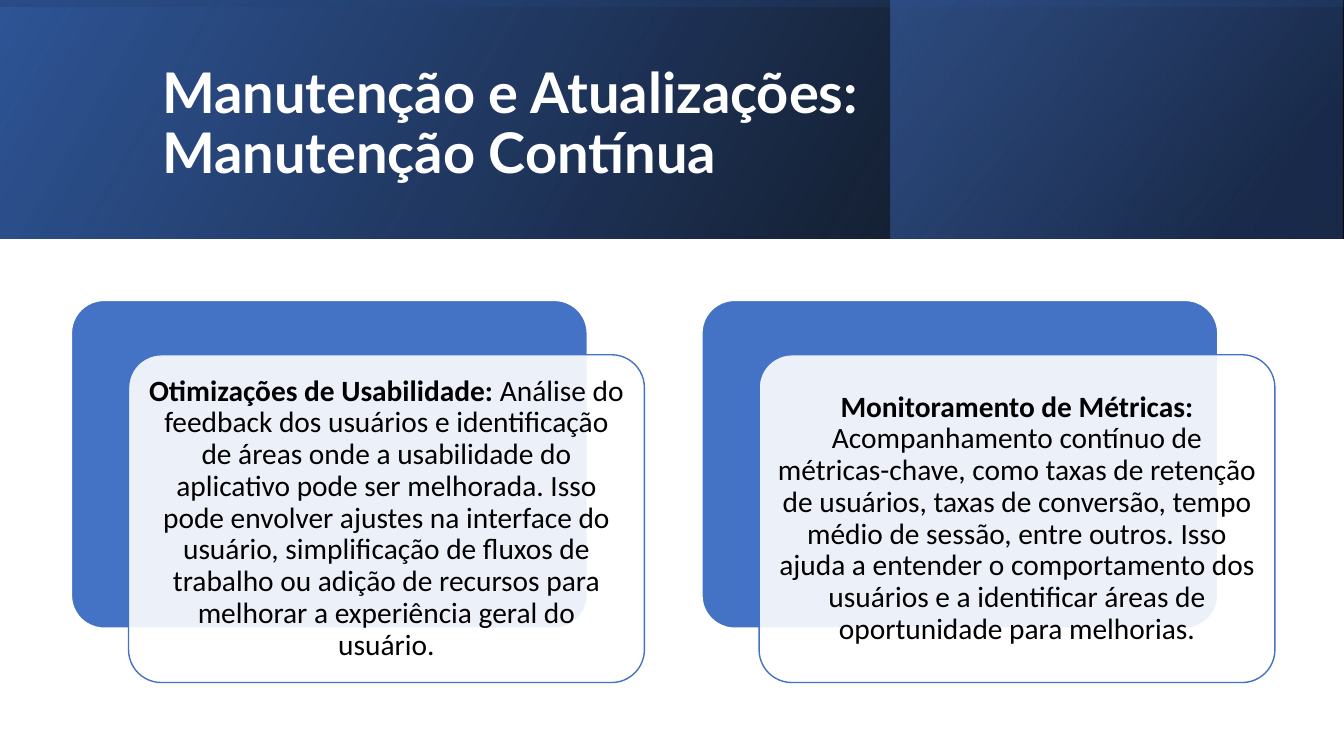
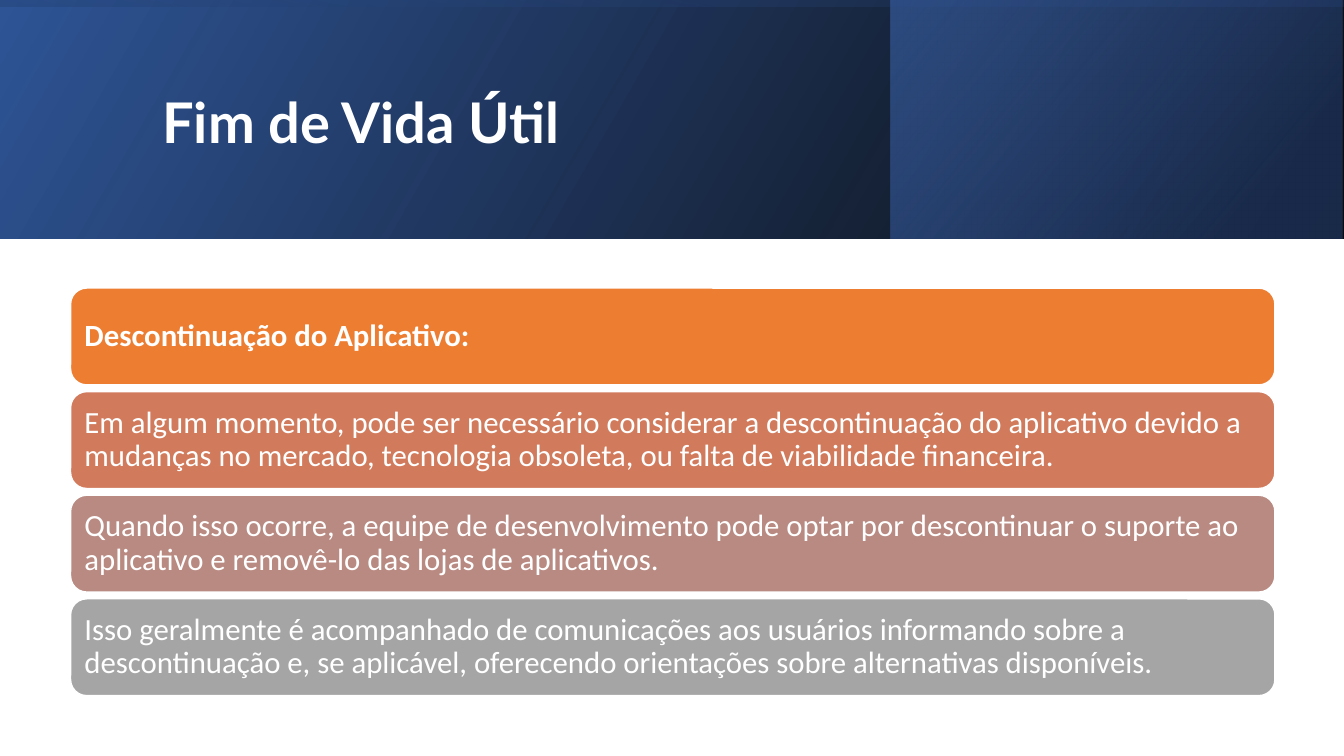
"""Build two slides on app maintenance and end of life."""
from pptx import Presentation
from pptx.dml.color import RGBColor
from pptx.enum.shapes import MSO_SHAPE
from pptx.enum.text import MSO_ANCHOR, PP_ALIGN
from pptx.oxml.ns import qn
from pptx.util import Cm, Pt
from lxml.etree import SubElement

WHITE = RGBColor(0xFF, 0xFF, 0xFF)
BLACK = RGBColor(0x00, 0x00, 0x00)
BLUE = RGBColor(0x44, 0x72, 0xC4)
MID_BLUE = RGBColor(0x2F, 0x55, 0x97)
NAVY = RGBColor(0x20, 0x38, 0x64)
ORANGE = RGBColor(0xED, 0x7D, 0x31)
TERRACOTTA = RGBColor(0xD1, 0x7B, 0x5C)
ROSE = RGBColor(0xB9, 0x8A, 0x82)
GRAY = RGBColor(0xA5, 0xA5, 0xA5)

TITLE_FONT, BODY_FONT = "Lato", "Calibri"
SLIDE_WIDTH, SLIDE_HEIGHT, BAND_HEIGHT = 33.87, 19.05, 6.02
TURNED_LEFT = (SLIDE_WIDTH - BAND_HEIGHT) / 2

# place, rotation, gradient angle, stops as (position, colour, opacity)
BANDS = [
    ((0, 0, SLIDE_WIDTH, BAND_HEIGHT), 0, 30,
     [(0, BLACK, 96), (1, MID_BLUE, 100)]),
    ((22.45, 0, 11.39, BAND_HEIGHT), 0, 40,
     [(0.19, NAVY, 68), (1, BLUE, 48)]),
    ((TURNED_LEFT, -TURNED_LEFT, BAND_HEIGHT, SLIDE_WIDTH), 270, 10,
     [(0.23, MID_BLUE, 16), (0.99, BLACK, 45)]),
]

CARDS_TITLE = "Manutenção e Atualizações:\vManutenção Contínua"
CARDS = [
    ("Otimizações de Usabilidade:",
     " Análise do feedback dos usuários e identificação de áreas onde a "
     "usabilidade do aplicativo pode ser melhorada. Isso pode envolver ajustes "
     "na interface do usuário, simplificação de fluxos de trabalho ou adição de "
     "recursos para melhorar a experiência geral do usuário."),
    ("Monitoramento de Métricas:",
     " Acompanhamento contínuo de métricas-chave, como taxas de retenção de "
     "usuários, taxas de conversão, tempo médio de sessão, entre outros. Isso "
     "ajuda a entender o comportamento dos usuários e a identificar áreas de "
     "oportunidade para melhorias."),
]

ROWS_TITLE = "Fim de Vida Útil"
ROWS = [
    (ORANGE, True, "Descontinuação do Aplicativo:"),
    (TERRACOTTA, False,
     "Em algum momento, pode ser necessário considerar a descontinuação do "
     "aplicativo devido a mudanças no mercado, tecnologia obsoleta, ou falta de "
     "viabilidade financeira."),
    (ROSE, False,
     "Quando isso ocorre, a equipe de desenvolvimento pode optar por "
     "descontinuar o suporte ao aplicativo e removê-lo das lojas de aplicativos."),
    (GRAY, False,
     "Isso geralmente é acompanhado de comunicações aos usuários informando "
     "sobre a descontinuação e, se aplicável, oferecendo orientações sobre "
     "alternativas disponíveis."),
]


def set_opacity(shape, percents):
    colours = shape.element.spPr.iter(qn("a:srgbClr"))
    for colour, percent in zip(list(colours), percents):
        SubElement(colour, qn("a:alpha")).set("val", str(percent * 1000))


def add_band(page, place, rotation, angle, stops):
    band = page.shapes.add_shape(MSO_SHAPE.RECTANGLE, *map(Cm, place))
    band.shadow.inherit = False
    band.line.fill.background()
    band.rotation = rotation
    band.element.spPr.find(qn("a:xfrm")).set("flipH", "1")
    band.fill.gradient()
    band.fill.gradient_angle = angle
    for stop, (position, colour, _) in zip(band.fill.gradient_stops, stops):
        stop.position = position
        stop.color.rgb = colour
    set_opacity(band, [opacity for _, _, opacity in stops])


def add_panel(page, place, fill, line, corner=None):
    panel = page.shapes.add_shape(MSO_SHAPE.ROUNDED_RECTANGLE, *map(Cm, place))
    panel.shadow.inherit = False
    panel.fill.solid()
    panel.fill.fore_color.rgb = fill
    if corner is not None:
        panel.adjustments[0] = corner
    panel.line.color.rgb = line
    panel.line.width = Pt(1)
    return panel


def write(shape, spans, font, size, colour, align=PP_ALIGN.LEFT, inset=0.25):
    frame = shape.text_frame
    frame.word_wrap = True
    frame.vertical_anchor = MSO_ANCHOR.MIDDLE
    frame.margin_left = frame.margin_right = Cm(inset)
    frame.margin_top = frame.margin_bottom = Cm(inset)
    para = frame.paragraphs[0]
    para.alignment = align
    para.line_spacing = 0.9
    para.font.name = font
    para.font.size = Pt(size)
    para.font.color.rgb = colour
    for text, bold in spans:
        first, *others = text.split("\v")
        para.add_run().text = first
        for other in others:
            para.add_line_break()
            para.add_run().text = other
        for span in para.runs[-1 - len(others):]:
            span.font.bold = bold


def add_page(deck, title):
    page = deck.slides.add_slide(deck.slide_layouts[6])
    for band in BANDS:
        add_band(page, *band)
    box = page.shapes.add_textbox(Cm(3.84), Cm(0.97), Cm(27), Cm(4.37))
    write(box, [(title, True)], TITLE_FONT, 40, WHITE)
    return page


def add_cards(page):
    left, top, width, height = 1.8, 7.57, 13, 8.26
    pitch, shift_x, shift_y = 15.89, 1.44, 1.37
    for index, (heading, body) in enumerate(CARDS):
        x = left + index * pitch
        add_panel(page, (x, top, width, height), BLUE, WHITE, 0.1)
        front = add_panel(page, (x + shift_x, top + shift_y, width, height),
                          WHITE, BLUE, 0.1)
        set_opacity(front, [90])
        write(front, [(heading, True), (body, False)], BODY_FONT, 21, BLACK,
              PP_ALIGN.CENTER, 0.23)


def add_rows(page):
    left, top, width, height, gap = 1.78, 7.26, 30.35, 2.44, 0.17
    for index, (colour, bold, text) in enumerate(ROWS):
        y = top + index * (height + gap)
        row = add_panel(page, (left, y, width, height), colour, WHITE)
        write(row, [(text, bold)], BODY_FONT, 22, WHITE, inset=0.23)


def main():
    deck = Presentation()
    deck.slide_width, deck.slide_height = Cm(SLIDE_WIDTH), Cm(SLIDE_HEIGHT)
    add_cards(add_page(deck, CARDS_TITLE))
    add_rows(add_page(deck, ROWS_TITLE))
    deck.save("out.pptx")


if __name__ == "__main__":
    main()
